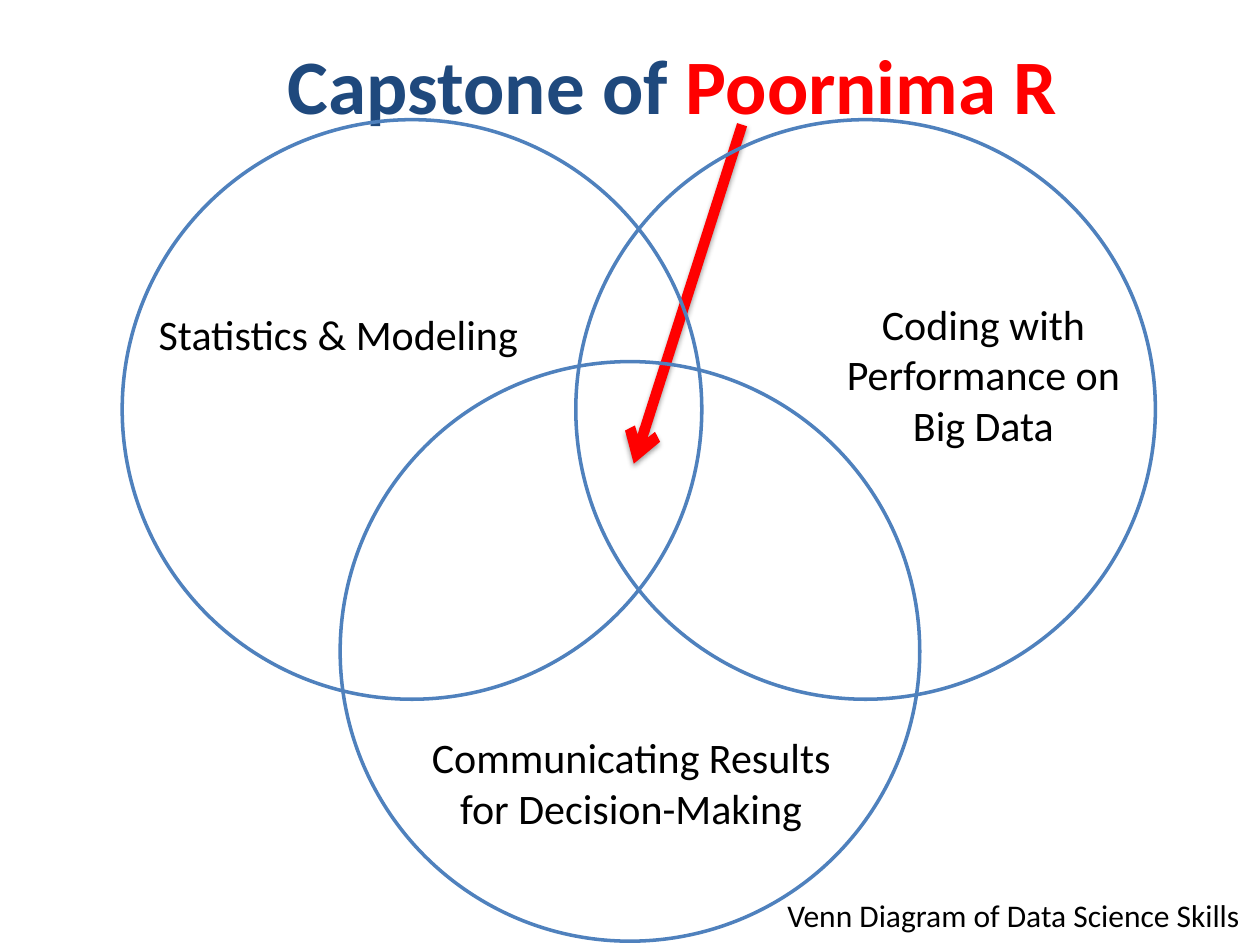
from lxml import etree
from pptx import Presentation
from pptx.dml.color import RGBColor
from pptx.enum.shapes import MSO_CONNECTOR, MSO_SHAPE
from pptx.enum.text import MSO_ANCHOR, MSO_AUTO_SIZE, PP_ALIGN
from pptx.oxml import parse_xml
from pptx.oxml.ns import nsdecls, qn
from pptx.util import Inches, Pt

CENTER, LEFT = PP_ALIGN.CENTER, PP_ALIGN.LEFT
MIDDLE = MSO_ANCHOR.MIDDLE
FIT_SHAPE = MSO_AUTO_SIZE.SHAPE_TO_FIT_TEXT
OVAL, STRAIGHT = MSO_SHAPE.OVAL, MSO_CONNECTOR.STRAIGHT

NAVY = RGBColor(0x1F, 0x49, 0x7D)
BLUE = RGBColor(0x4F, 0x81, 0xBD)
RED = RGBColor(0xFF, 0x00, 0x00)
BLACK = RGBColor(0x00, 0x00, 0x00)
FONT = "Calibri"

DIAMETER = 4.6
TOP_ROW, BOTTOM_ROW = 0.95, 2.87
LEFT_COL, MIDDLE_COL, RIGHT_COL = 0.97, 2.7, 4.57

SHADOW = (
    f'<a:effectLst {nsdecls("a")}>'
    '<a:outerShdw blurRad="39370" dist="20320" dir="5400000" rotWithShape="0">'
    '<a:srgbClr val="000000"><a:alpha val="38000"/></a:srgbClr>'
    '</a:outerShdw></a:effectLst>'
)


def inches(*values):
    """Convert numbers to lengths in inches."""
    return [Inches(v) for v in values]


def style_font(font, size, color, bold=False):
    """Set the typeface, size, colour and weight of a font."""
    font.name, font.size, font.bold = FONT, Pt(size), bold
    font.color.rgb = color


def set_title(slide, box, parts):
    """Place the title and fill it with coloured runs."""
    sp = slide.shapes.title
    sp.left, sp.top, sp.width, sp.height = inches(*box)
    tf = sp.text_frame
    tf.vertical_anchor = MIDDLE
    p = tf.paragraphs[0]
    p.alignment = CENTER
    for text, color in parts:
        r = p.add_run()
        r.text = text
        style_font(r.font, 44, color, bold=True)


def add_circle(slide, left, top):
    """Add one unfilled circle of the Venn diagram."""
    sp = slide.shapes.add_shape(OVAL, *inches(left, top, DIAMETER, DIAMETER))
    sp.shadow.inherit = False
    sp.fill.background()
    sp.line.color.rgb = BLUE
    sp.line.width = Pt(2)


def add_label(slide, text, box, size=24, align=CENTER, wrap=True):
    """Add a text box holding one paragraph."""
    tf = slide.shapes.add_textbox(*inches(*box)).text_frame
    tf.word_wrap = wrap
    tf.auto_size = FIT_SHAPE
    p = tf.paragraphs[0]
    p.text = text
    p.alignment = align
    style_font(p.font, size, BLACK)


def add_arrow(slide, start, end):
    """Add a thick red arrow with a soft shadow."""
    cxn = slide.shapes.add_connector(STRAIGHT, *inches(*start, *end))
    cxn.line.color.rgb = RED
    cxn.line.width = Pt(6)
    ln = cxn.line._get_or_add_ln()
    etree.SubElement(ln, qn("a:tailEnd"), type="arrow")
    ln.addnext(parse_xml(SHADOW))


def main():
    """Build the slide and save it."""
    prs = Presentation()
    prs.slide_width, prs.slide_height = inches(10, 7.5)
    slide = prs.slides.add_slide(prs.slide_layouts[5])

    set_title(slide, (1.18, 0.04, 8.32, 1.25),
              [("Capstone of ", NAVY), ("Poornima R", RED)])
    add_arrow(slide, (5.89, 0.99), (5.03, 3.68))
    for left, top in ((LEFT_COL, TOP_ROW), (RIGHT_COL, TOP_ROW),
                      (MIDDLE_COL, BOTTOM_ROW)):
        add_circle(slide, left, top)

    add_label(slide, "Statistics & Modeling", (1.14, 2.4, 3.09, 0.5), wrap=False)
    add_label(slide, "Coding with Performance on Big Data",
              (6.48, 2.32, 2.65, 1.31))
    add_label(slide, "Communicating Results for Decision-Making",
              (3.21, 5.76, 3.6, 0.91))
    add_label(slide, "Venn Diagram of Data Science Skills",
              (6.15, 7.06, 3.85, 0.4), size=18, align=LEFT, wrap=False)

    prs.save("out.pptx")


main()
